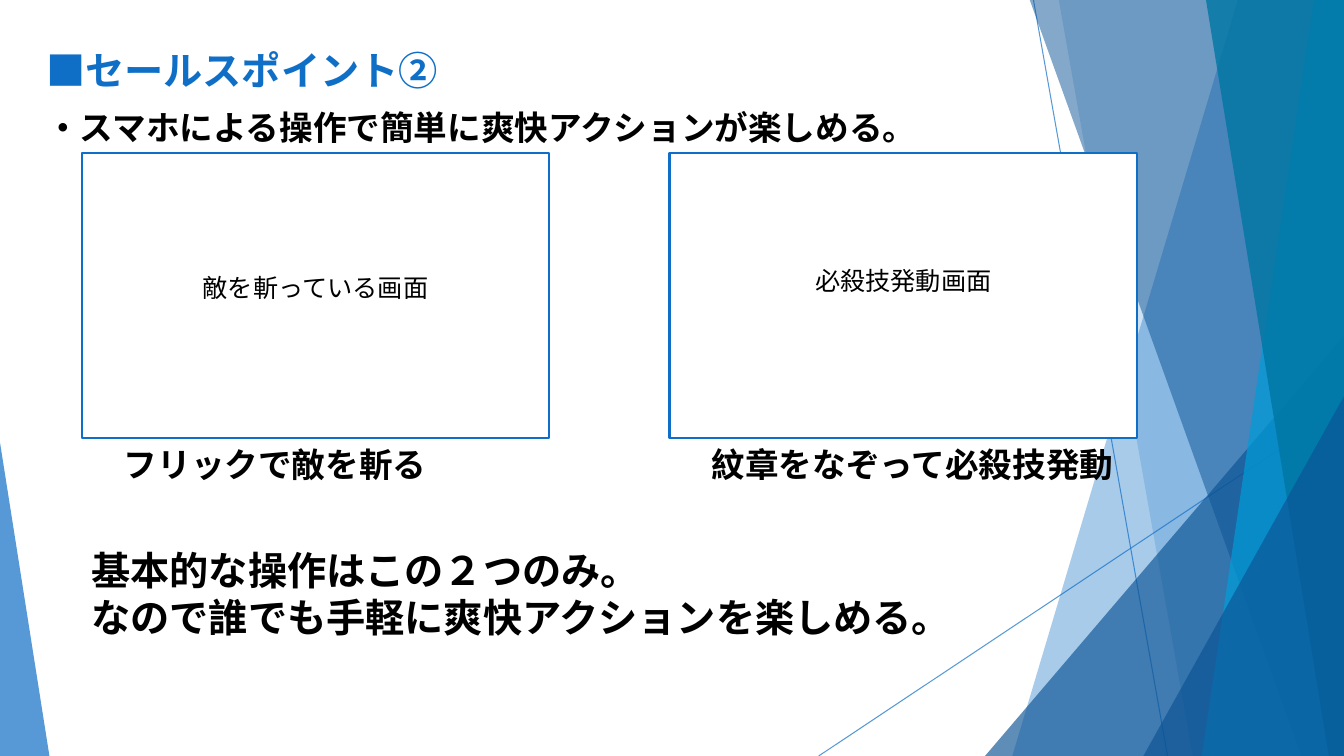
from lxml import etree
from pptx import Presentation
from pptx.dml.color import RGBColor
from pptx.enum.shapes import MSO_CONNECTOR, MSO_SHAPE
from pptx.enum.text import PP_ALIGN
from pptx.oxml.ns import qn
from pptx.util import Inches, Pt

STRAIGHT = MSO_CONNECTOR.STRAIGHT
RECTANGLE, TRIANGLE = MSO_SHAPE.RECTANGLE, MSO_SHAPE.ISOSCELES_TRIANGLE
LEFT, CENTER = PP_ALIGN.LEFT, PP_ALIGN.CENTER

WIDTH, HEIGHT = 13.33, 7.5
COLORS = {"blue": "0F6FC6", "navy": "0B5394", "sky": "009DD9",
          "teal": "0076A3", "white": "FFFFFF", "black": "000000"}
LATIN, JAPANESE = "Cabin", "Noto Sans CJK JP"

RAYS = [((10.25, 0), (11.58, HEIGHT)), ((WIDTH, 4.03), (8.12, HEIGHT))]
FACETS = [
    ("band", 12.28, 10.04, "blue", 36),
    ("band", 10.5, 11.83, "blue", 20),
    ("corner", 9.77, 3.33, "navy", 66),
    ("band", 10.21, 12.91, "navy", 50),
    ("band", 13.03, 11.92, "sky", 70),
    ("band", 11.96, 13.18, "teal", 80),
    ("corner", 11.34, 3.93, "navy", 66),
]
LEFT_CORNER = (0.49, 4.39)

SCREEN_TOP, SCREEN_WIDTH, SCREEN_HEIGHT = 1.52, 4.64, 2.83
SCREEN_LEFTS = (6.64, 0.81)

TEXTS = [
    ((0.36, 0.41, 11.79, 6.73), LEFT, 10, True, [
        ("■セールスポイント②", 28, "blue", JAPANESE),
        ("・スマホによる操作で簡単に爽快アクションが楽しめる。", 24, "black", JAPANESE)]),
    ((1.13, 4.35, 4, 0.5), LEFT, 0, True, [("フリックで敵を斬る", 24, "black", LATIN)]),
    ((6.96, 4.35, 4.29, 0.5), LEFT, 0, True,
     [("紋章をなぞって必殺技発動", 24, "black", JAPANESE)]),
    ((1.63, 2.65, 3, 0.4), CENTER, 0, False, [("敵を斬っている画面", 18, "black", LATIN)]),
    ((7.46, 2.58, 3, 0.4), CENTER, 0, False, [("必殺技発動画面", 18, "black", JAPANESE)]),
    ((0.81, 5.37, 9.87, 1.04), LEFT, 0, True, [
        ("基本的な操作はこの２つのみ。", 28, "black", LATIN),
        ("なので誰でも手軽に爽快アクションを楽しめる。", 28, "black", JAPANESE)]),
]


def color(name):
    return RGBColor.from_string(COLORS[name])


def set_alpha(properties, percent):
    tone = next(properties.iter(qn("a:srgbClr")))
    etree.SubElement(tone, qn("a:alpha")).set("val", str(percent * 1000))


def paint(shape, name, percent):
    shape.shadow.inherit = False
    shape.fill.solid()
    shape.fill.fore_color.rgb = color(name)
    set_alpha(shape._element.spPr, percent)
    shape.line.fill.background()


def add_ray(page, start, end):
    ray = page.shapes.add_connector(STRAIGHT, *map(Inches, start + end))
    ray.line.color.rgb = color("blue")
    ray.line.width = Pt(0.75)
    properties = ray._element.spPr
    set_alpha(properties, 70)
    etree.SubElement(properties, qn("a:effectLst"))


def add_band(page, top_x, bottom_x):
    points = [(top_x, -0.01), (WIDTH, -0.01), (WIDTH, HEIGHT), (bottom_x, HEIGHT)]
    corners = [(Inches(x), Inches(y)) for x, y in points]
    builder = page.shapes.build_freeform(*corners[0])
    builder.add_line_segments(corners[1:], close=True)
    return builder.convert_to_shape()


def add_corner(page, left, top, width, apex):
    corner = page.shapes.add_shape(
        TRIANGLE, *map(Inches, (left, top, width, HEIGHT - top)))
    corner.adjustments[0] = apex
    return corner


def add_screen(page, left):
    screen = page.shapes.add_shape(
        RECTANGLE, *map(Inches, (left, SCREEN_TOP, SCREEN_WIDTH, SCREEN_HEIGHT)))
    screen.shadow.inherit = False
    screen.fill.solid()
    screen.fill.fore_color.rgb = color("white")
    screen.line.color.rgb = color("blue")
    screen.line.width = Pt(1.5)


def add_text(page, area, align, gap, bold, lines):
    frame = page.shapes.add_textbox(*map(Inches, area)).text_frame
    frame.word_wrap = True
    for index, (words, size, tone, face) in enumerate(lines):
        para = frame.add_paragraph() if index else frame.paragraphs[0]
        para.alignment = align
        if index and gap:
            para.space_before = Pt(gap)
        span = para.add_run()
        span.text = words
        span.font.name = face
        span.font.size = Pt(size)
        span.font.bold = bold
        span.font.color.rgb = color(tone)


def main():
    deck = Presentation()
    deck.slide_width, deck.slide_height = Inches(WIDTH), Inches(HEIGHT)
    page = deck.slides.add_slide(deck.slide_layouts[6])
    for start, end in RAYS:
        add_ray(page, start, end)
    for kind, first, second, tone, percent in FACETS:
        if kind == "band":
            facet = add_band(page, first, second)
        else:
            facet = add_corner(page, first, second, WIDTH - first, 1)
        paint(facet, tone, percent)
    corner_width, corner_top = LEFT_CORNER
    paint(add_corner(page, 0, corner_top, corner_width, 0), "blue", 70)
    for left in SCREEN_LEFTS:
        add_screen(page, left)
    for text in TEXTS:
        add_text(page, *text)
    deck.save("out.pptx")


if __name__ == "__main__":
    main()
